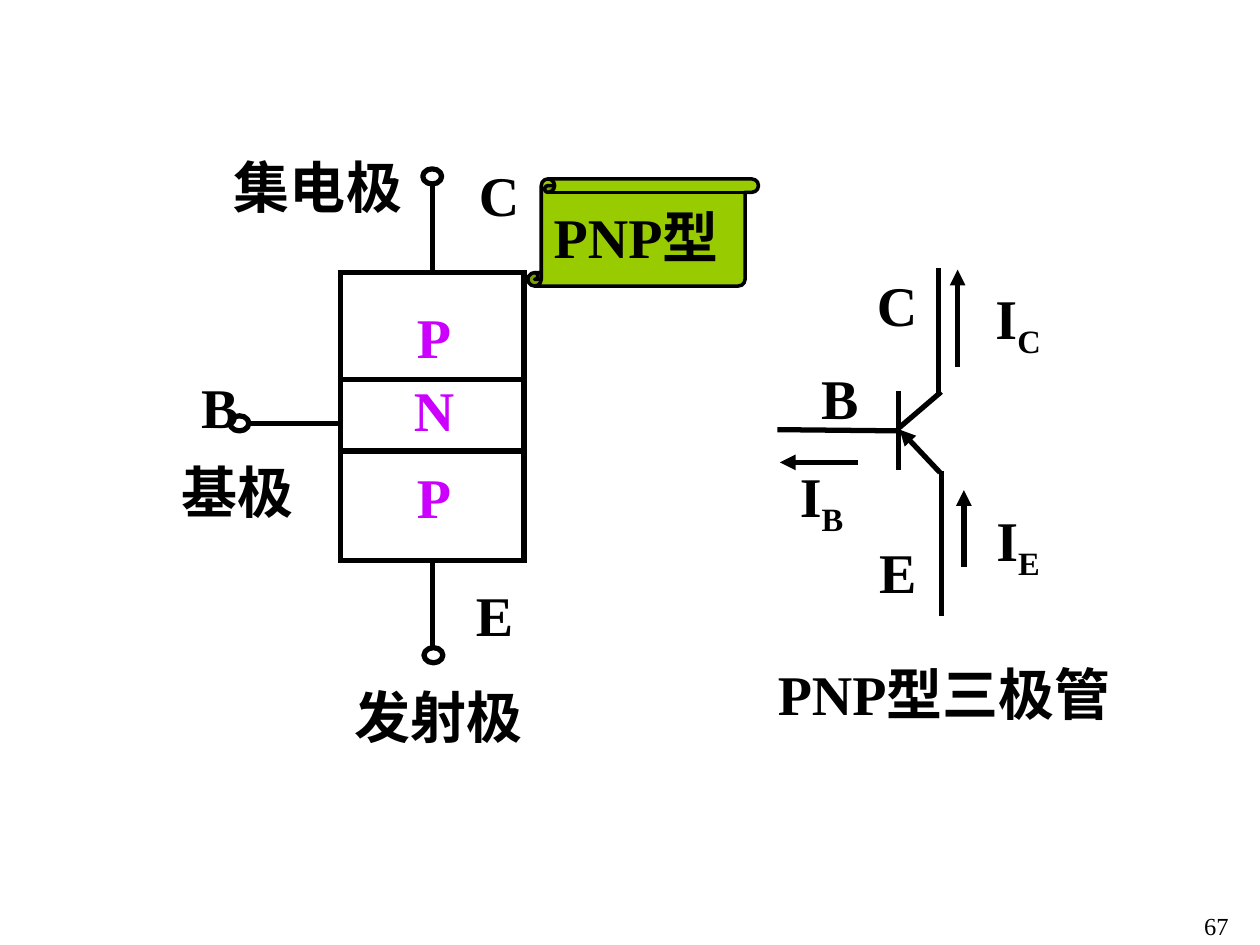
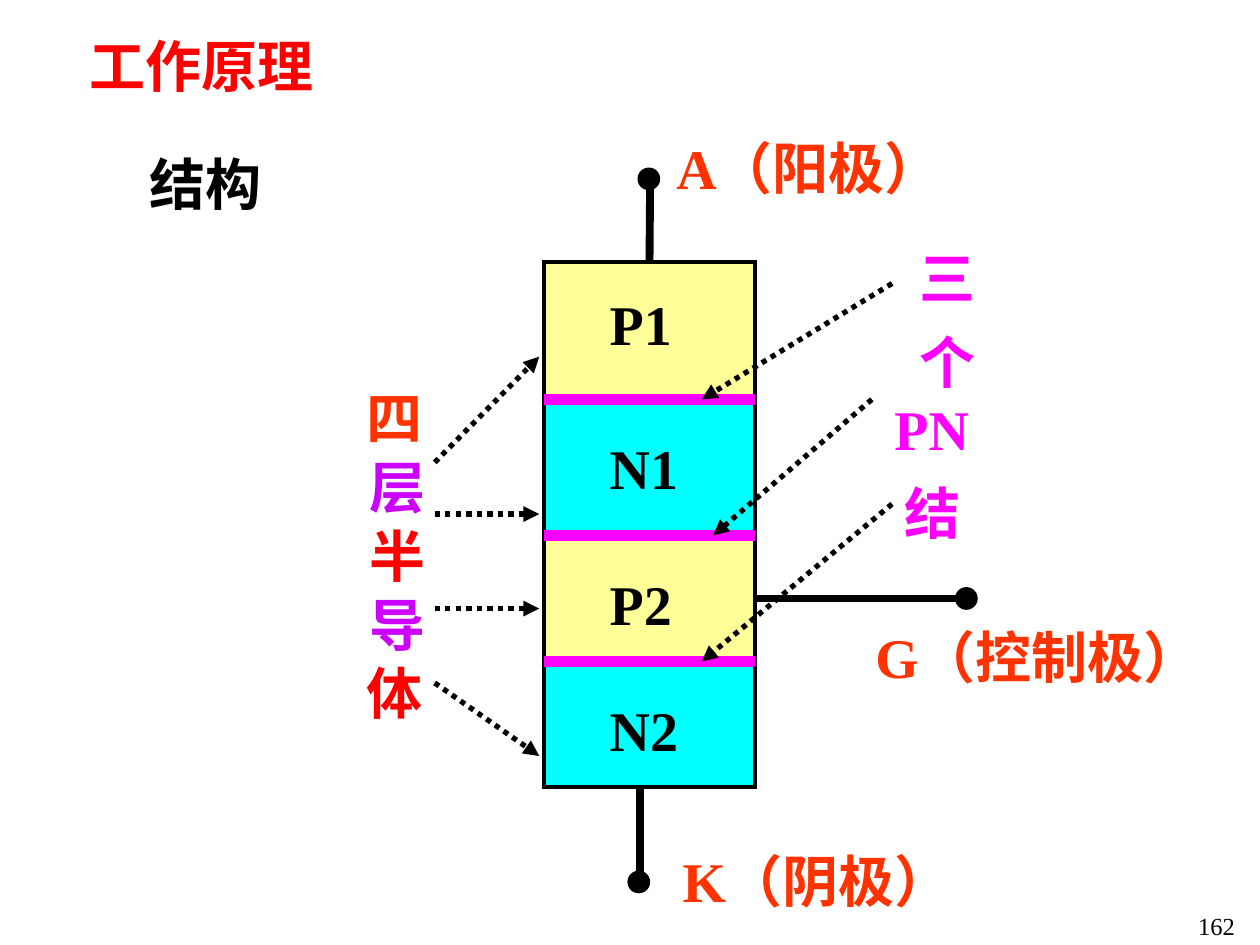
from dataclasses import dataclass

from pptx import Presentation
from pptx.dml.color import RGBColor
from pptx.enum.dml import MSO_LINE
from pptx.enum.shapes import MSO_CONNECTOR, MSO_SHAPE
from pptx.enum.text import MSO_ANCHOR, MSO_AUTO_SIZE, PP_ALIGN
from pptx.oxml.ns import qn
from pptx.util import Inches, Pt
from lxml.etree import SubElement


@dataclass(frozen=True)
class Theme:
    font: str = "Times New Roman"
    size: int = 32
    number_size: int = 14
    wire: float = 3
    lead: float = 4.5
    black: str = "000000"
    red: str = "FF0000"
    orange: str = "FF3300"
    violet: str = "CC00FF"
    magenta: str = "FF00FF"
    green: str = "99CC00"
    cyan: str = "00FFFF"
    yellow: str = "FFFF99"


T = Theme()
TOP, LEFT, BOTTOM, RIGHT = 0, 1, 2, 3

# Slide 1: block model and circuit symbol of the PNP transistor
BLOCK_LEFT, BLOCK_WIDTH = 2.7, 1.46
BLOCKS = [("P", 2.16, 0.85), ("N", 3.01, 0.57), ("P", 3.58, 0.87)]  # name, top, height
BLOCK_LABELS = [("P", 3.11, 2.35, 0.67), ("N", 3.11, 2.93, 0.67), ("P", 3.11, 3.62, 0.67)]
TERMINALS = {"C": (3.43, 1.4), "B": (1.9, 3.36), "E": (3.44, 5.2)}  # centres
TERMINAL_SIZE = (0.15, 0.12)
PNP_LABELS = [  # text, left, top, width
    ("集电极", 1.66, 1.16, 1.73), ("基极", 1.24, 3.58, 1.29), ("发射极", 2.62, 5.36, 1.73),
    ("C", 3.6, 1.22, 0.72), ("B", 1.4, 2.9, 0.69), ("E", 3.58, 4.55, 0.69),
    ("C", 6.76, 2.09, 0.72), ("B", 6.32, 2.83, 0.69), ("E", 6.78, 4.21, 0.69),
    ("PNP型三极管", 5.92, 5.18, 3.15),
]
CURRENTS = [  # subscript, left, top, width, arrow start, arrow tip
    ("C", 7.63, 2.2, 0.9, (7.6, 2.91), (7.6, 2.14)),
    ("B", 6.07, 3.61, 0.9, (6.81, 3.67), (6.19, 3.67)),
    ("E", 7.63, 3.96, 0.9, (7.65, 4.5), (7.65, 3.89)),
]
SYMBOL_WIRES = [
    ((6.17, 3.41), (7.15, 3.42)), ((7.13, 3.1), (7.13, 3.73)),
    ((7.13, 3.4), (7.47, 3.11)), ((7.45, 2.13), (7.45, 3.14)),
    ((7.47, 3.74), (7.47, 4.89)),
]
EMITTER_ARROW = ((7.46, 3.75), (7.14, 3.41))

# Slide 2: four-layer structure of the thyristor
STACK_LEFT, STACK_WIDTH = 4.32, 1.67
LAYER_LABEL_LEFT, LAYER_LABEL_WIDTH = 4.74, 1
LAYERS = [  # name, top, height, fill, label top
    ("P1", 2.08, 1.09, T.yellow, 2.25),
    ("N1", 3.17, 1.08, T.cyan, 3.39),
    ("P2", 4.25, 1, T.yellow, 4.47),
    ("N2", 5.25, 1, T.cyan, 5.47),
]
ELECTRODES = [  # text, left, top, width
    ("A（阳极）", 5.27, 1.01, 2.5),
    ("G（控制极）", 6.85, 4.89, 3),
    ("K（阴极）", 5.32, 6.67, 2.5),
]
DOTS = [(5.15, 1.42), (7.67, 4.75), (5.07, 7)]
DOT_SIZE = (0.17, 0.17)
LAYERS_NOTE = [("四", T.orange), (" 层", T.violet), (" 半", T.red), (" 导 ", T.violet), ("体", T.red)]
LAYER_ARROWS = [(3.67, 2.83), (4.08, 4.08), (4.83, 4.83), (5.42, 6)]  # y at start, y at tip
JUNCTION_ARROWS = [
    ((7.08, 2.25), (5.57, 3.17)), ((6.92, 3.17), (5.66, 4.25)), ((7.08, 4), (5.57, 5.25)),
]


def rgb(color):
    return RGBColor.from_string(color)


def add_run(p, text, color, size=T.size, bold=True):
    r = p.add_run()
    r.text = text
    r.font.name, r.font.size, r.font.bold = T.font, Pt(size), bold
    r.font.color.rgb = rgb(color)
    return r


def write(tf, runs, align=PP_ALIGN.LEFT, **style):
    """Fill the first paragraph with (text, color) runs."""
    p = tf.paragraphs[0]
    p.alignment = align
    for text, color in runs:
        add_run(p, text, color, **style)
    return p


def fit(tf, anchor, wrap=False):
    tf.word_wrap = wrap
    tf.auto_size = MSO_AUTO_SIZE.SHAPE_TO_FIT_TEXT
    tf.vertical_anchor = anchor


def label(s, text, x, y, w, color=T.black, align=PP_ALIGN.LEFT, h=0.64):
    tf = s.shapes.add_textbox(Inches(x), Inches(y), Inches(w), Inches(h)).text_frame
    fit(tf, MSO_ANCHOR.MIDDLE if align == PP_ALIGN.CENTER else MSO_ANCHOR.TOP, wrap=True)
    return write(tf, [(text, color)], align)


def vertical_label(s, runs, x, y, h):
    tf = s.shapes.add_textbox(Inches(x), Inches(y), Inches(0.73), Inches(h)).text_frame
    fit(tf, MSO_ANCHOR.TOP, wrap=True)
    tf.margin_left = tf.margin_right = Inches(0.05)
    tf.margin_top = tf.margin_bottom = Inches(0.1)
    tf._txBody.bodyPr.set("vert", "eaVert")
    return write(tf, runs)


def shape(s, kind, x, y, w, h, fill=None, width=T.wire):
    sp = s.shapes.add_shape(kind, Inches(x), Inches(y), Inches(w), Inches(h))
    sp.shadow.inherit = False
    if fill:
        sp.fill.solid()
        sp.fill.fore_color.rgb = rgb(fill)
    else:
        sp.fill.background()
    sp.line.color.rgb = rgb(T.black)
    sp.line.width = Pt(width)
    if kind == MSO_SHAPE.RECTANGLE:
        SubElement(sp._element.spPr.find(qn("a:ln")), qn("a:miter"), lim="800000")
    return sp


def circle(s, center, size, **style):
    (cx, cy), (w, h) = center, size
    return shape(s, MSO_SHAPE.OVAL, cx - w / 2, cy - h / 2, w, h, **style)


def line(s, start, end, width=T.wire, color=T.black, arrow=False, dotted=False):
    c = s.shapes.add_connector(MSO_CONNECTOR.STRAIGHT, *map(Inches, (*start, *end)))
    c.line.color.rgb = rgb(color)
    c.line.width = Pt(width)
    if dotted:
        c.line.dash_style = MSO_LINE.ROUND_DOT
    spPr = c._element.spPr
    if arrow:
        SubElement(spPr.find(qn("a:ln")), qn("a:tailEnd"), type="triangle")
    SubElement(spPr, qn("a:effectLst"))
    return c


def page_number(s, number):
    tf = s.shapes.add_textbox(Inches(8.69), Inches(7.18), Inches(1.93), Inches(0.33)).text_frame
    tf.word_wrap = True
    tf.vertical_anchor = MSO_ANCHOR.MIDDLE
    write(tf, [(number, T.black)], PP_ALIGN.CENTER, size=T.number_size, bold=False)


def build_transistor(prs):
    s = prs.slides.add_slide(prs.slide_layouts[6])
    for start, end in SYMBOL_WIRES:
        line(s, start, end)
    line(s, *EMITTER_ARROW, arrow=True)
    for sub, x, y, w, start, tip in CURRENTS:
        p = label(s, "I", x, y, w, align=PP_ALIGN.CENTER, h=0.71)
        add_run(p, sub, T.black).font._element.set("baseline", "-25000")
        line(s, start, tip, arrow=True)

    blocks = [shape(s, MSO_SHAPE.RECTANGLE, BLOCK_LEFT, top, BLOCK_WIDTH, h)
              for _, top, h in BLOCKS]
    for center in TERMINALS.values():
        circle(s, center, TERMINAL_SIZE)
    line(s, (3.43, 1.47), (3.43, 2.16)).end_connect(blocks[0], TOP)
    line(s, (3.43, 5.14), (3.43, 4.45)).end_connect(blocks[2], BOTTOM)
    line(s, (1.96, 3.36), (BLOCK_LEFT, 3.36))
    for text, x, y, w in BLOCK_LABELS:
        label(s, text, x, y, w, T.violet, PP_ALIGN.CENTER)
    for text, x, y, w in PNP_LABELS:
        label(s, text, x, y, w, align=PP_ALIGN.CENTER)

    scroll = shape(s, MSO_SHAPE.VERTICAL_SCROLL, 4.19, 1.42, 1.83, 0.85, T.green, 2)
    fit(scroll.text_frame, MSO_ANCHOR.MIDDLE)
    write(scroll.text_frame, [("PNP型", T.black)])
    page_number(s, "67")


def build_thyristor(prs):
    s = prs.slides.add_slide(prs.slide_layouts[5])
    title = s.shapes.title
    title.left, title.top, title.width, title.height = map(Inches, (0.61, 0.2, 3, 0.64))
    fit(title.text_frame, MSO_ANCHOR.TOP, wrap=True)
    write(title.text_frame, [("工作原理", T.red)])
    label(s, "结构", 1.09, 1.14, 1.3)

    layers = {}
    for name, top, h, fill, label_top in LAYERS:
        layers[name] = shape(s, MSO_SHAPE.RECTANGLE, STACK_LEFT, top, STACK_WIDTH, h, fill, 2.25)
        label(s, name, LAYER_LABEL_LEFT, label_top, LAYER_LABEL_WIDTH)
    for _, top, *_ in LAYERS[1:]:
        line(s, (STACK_LEFT, top), (STACK_LEFT + STACK_WIDTH, top), 6, T.magenta)

    line(s, (5.16, 1.42), (5.16, 2.08), T.lead).end_connect(layers["P1"], TOP)
    line(s, (5.99, 4.75), (7.67, 4.75), T.lead).begin_connect(layers["P2"], RIGHT)
    line(s, (5.08, 6.25), (5.08, 7), T.lead)
    for center in DOTS:
        circle(s, center, DOT_SIZE, fill=T.black, width=0.75)
    for text, x, y, w in ELECTRODES:
        label(s, text, x, y, w, T.orange)

    p = vertical_label(s, [("三 个", T.magenta)], 7.09, 1.89, 1.5)
    p.runs[0].font._element.set("spc", "400")
    label(s, "PN", 7, 3.08, 1, T.magenta)
    label(s, "结", 7.08, 3.75, 0.8, T.magenta)
    for start, tip in JUNCTION_ARROWS:
        line(s, start, tip, arrow=True, dotted=True)

    vertical_label(s, LAYERS_NOTE, 2.7, 3, 3.1)
    for y, tip_y in LAYER_ARROWS:
        line(s, (3.45, y), (4.28, tip_y), arrow=True, dotted=True)
    page_number(s, "162")


def main():
    prs = Presentation()
    prs.slide_width, prs.slide_height = Inches(10), Inches(7.5)
    build_transistor(prs)
    build_thyristor(prs)
    prs.save("out.pptx")


if __name__ == "__main__":
    main()
